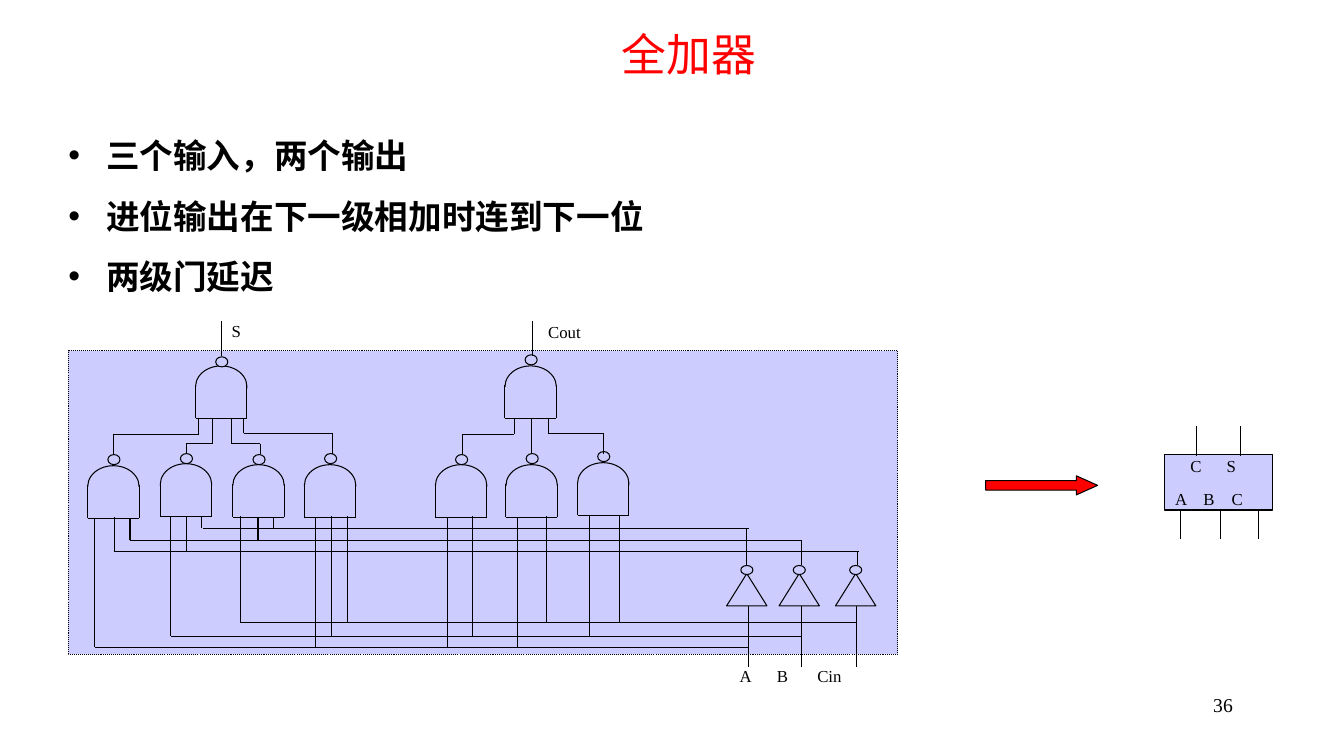
from lxml import etree
from pptx import Presentation
from pptx.dml.color import RGBColor
from pptx.enum.dml import MSO_LINE
from pptx.enum.shapes import MSO_CONNECTOR, MSO_SHAPE
from pptx.enum.text import MSO_ANCHOR, PP_ALIGN
from pptx.oxml.ns import qn
from pptx.util import Cm, Pt

RECT, OVAL = MSO_SHAPE.RECTANGLE, MSO_SHAPE.OVAL
TRIANGLE, ARROW = MSO_SHAPE.FLOWCHART_EXTRACT, MSO_SHAPE.RIGHT_ARROW
STRAIGHT, DOTTED = MSO_CONNECTOR.STRAIGHT, MSO_LINE.ROUND_DOT
LEFT, CENTER, RIGHT = PP_ALIGN.LEFT, PP_ALIGN.CENTER, PP_ALIGN.RIGHT
TOP, MIDDLE = MSO_ANCHOR.TOP, MSO_ANCHOR.MIDDLE
INCH = 2.54  # centimetres per layout unit


class Theme:
    ink = RGBColor(0x00, 0x00, 0x00)
    panel = RGBColor(0xCC, 0xCC, 0xFF)
    accent = RGBColor(0xFF, 0x00, 0x00)
    serif, sans = "Times New Roman", "Arial"
    title, body, number, label = Pt(32), Pt(24), Pt(14), Pt(12)
    stroke = Pt(0.75)


def add_box(parent, kind, x, y, w, h, fill=Theme.panel, outlined=True):
    sp = parent.shapes.add_shape(kind, *(Cm(v * INCH) for v in (x, y, w, h)))
    sp.shadow.inherit = False
    sp.fill.solid()
    sp.fill.fore_color.rgb = fill
    if outlined:
        sp.line.color.rgb = Theme.ink
        sp.line.width = Theme.stroke
    else:
        sp.line.fill.background()
    return sp


def add_wire(parent, *points):
    for start, end in zip(points, points[1:]):
        cn = parent.shapes.add_connector(
            STRAIGHT, *(Cm(v * INCH) for v in start + end))
        cn.line.color.rgb = Theme.ink
        cn.line.width = Theme.stroke
        etree.SubElement(cn._element.spPr, qn("a:effectLst"))


prs = Presentation()
prs.slide_width, prs.slide_height = Cm(33.87), Cm(19.05)
s = prs.slides.add_slide(prs.slide_layouts[6])

# Circuit panel
panel = add_box(s, RECT, 0.68, 3.48, 8.23, 3.01)
panel.line.dash_style = DOTTED

# NAND gates: left, top, rise of the bubble above the body
gates = [(1.94, 3.63, 0.09), (0.87, 4.62, 0.11), (1.59, 4.60, 0.1),
         (2.31, 4.61, 0.1), (3.02, 4.61, 0.11), (5.01, 3.63, 0.11),
         (4.32, 4.61, 0.1), (5.02, 4.61, 0.11), (5.73, 4.59, 0.11)]
for x, y, rise in gates:
    gate = s.shapes.add_group_shape()
    add_box(gate, OVAL, x, y, 0.51, 0.41)
    add_box(gate, RECT, x, y + 0.21, 0.51, 0.22, outlined=False)
    add_wire(gate, (x, y + 0.19), (x, y + 0.52), (x + 0.51, y + 0.52),
             (x + 0.51, y + 0.19))
    add_box(gate, OVAL, x + 0.2, y - rise, 0.12, 0.1)

# Buses: height, left end, right end, gate bottom, drops
buses = [(6.42, 0.94, 7.43, 5.14, (0.94, 3.13, 4.44, 5.13)),
         (6.31, 1.70, 7.95, 5.12, (1.69, 3.29, 4.69, 5.85)),
         (6.18, 2.38, 8.50, 5.12, (2.39, 3.45, 5.42, 6.15)),
         (5.47, 1.13, 8.52, 5.13, (1.14, 1.85)),
         (5.36, 1.29, 7.96, 5.14, (1.29, 2.56)),
         (5.24, 2.01, 7.43, 5.13, (2.00, 2.71))]
for y, x1, x2, gate_bottom, drops in buses:
    add_wire(s, (x1, y), (x2, y))
    for x in drops:
        add_wire(s, (x, y), (x, gate_bottom))

# Inverters: left, input x, output x, height of the bus above
inverters = [(7.21, 7.43, 7.41, 5.24), (7.73, 7.95, 7.95, 5.36),
             (8.29, 8.50, 8.51, 5.47)]
for x, x_in, x_out, y_bus in inverters:
    inverter = s.shapes.add_group_shape()
    add_box(inverter, TRIANGLE, x, 5.69, 0.4, 0.32)
    add_box(inverter, OVAL, x + 0.14, 5.61, 0.12, 0.09)
    add_wire(inverter, (x_in, 6.01), (x_in, 6.62))
    add_wire(s, (x_out, 5.61), (x_out, y_bus))

# Links between gate levels: lower x, elbow height, upper x
for x, y, x_top in [(1.13, 4.31, 1.97), (1.85, 4.4, 2.11), (2.58, 4.4, 2.3),
                    (3.30, 4.30, 2.42), (4.59, 4.31, 5.1), (5.99, 4.3, 5.44)]:
    add_wire(s, (x, 4.5), (x, y), (x_top, y), (x_top, 4.15))
add_wire(s, (5.27, 4.5), (5.27, 4.15))

# Outputs
for x in (2.2, 5.28):
    add_wire(s, (x, 3.53), (x, 3.18))

# Block symbol with its pins
symbol = s.shapes.add_group_shape()
add_box(symbol, RECT, 11.55, 4.51, 1.08, 0.55)
for x in (11.71, 12.11, 12.49):
    add_wire(symbol, (x, 5.07), (x, 5.35))
for x in (11.87, 12.31):
    add_wire(symbol, (x, 4.23), (x, 4.52))

# Arrow to the symbol
arrow = add_box(s, ARROW, 9.78, 4.72, 1.11, 0.19, fill=Theme.accent)
arrow.adjustments[0], arrow.adjustments[1] = 0.5, 1.11

# Text: frame, words, (size, font, colour), alignment, anchor, inset?, tab stops
heading = (Theme.title, Theme.sans, Theme.accent)
bullets = (Theme.body, Theme.serif, Theme.ink)
label = (Theme.label, Theme.serif, Theme.ink)
number = (Theme.number, Theme.serif, Theme.ink)
points = ["三个输入，两个输出", "进位输出在下一级相加时连到下一位", "两级门延迟"]
texts = [
    ((1.17, 0, 11.33, 1.06), ["全加器"], heading, CENTER, MIDDLE, True, ()),
    ((0.58, 1.09, 12.29, 1.87), points, bullets, LEFT, TOP, True, ()),
    ((2.2, 3.13, 0.33, 0.3), ["S"], label, LEFT, TOP, True, ()),
    ((5.34, 3.14, 0.72, 0.3), ["Cout"], label, LEFT, TOP, True, ()),
    ((7.24, 6.56, 1.72, 0.3), ["A\tB\tCin"], label, LEFT, TOP, True, (0.37, 0.77)),
    ((11.66, 4.85, 0.96, 0.2), ["A\tB\tC"], label, LEFT, TOP, False, (0.28, 0.56)),
    ((11.81, 4.52, 0.67, 0.2), ["C\tS"], label, LEFT, TOP, False, (0.36,)),
    ((9.55, 6.83, 2.78, 0.5), ["36"], number, RIGHT, TOP, True, ()),
]
for frame, lines, style, align, anchor, inset, stops in texts:
    tf = s.shapes.add_textbox(*(Cm(v * INCH) for v in frame)).text_frame
    tf.word_wrap = True
    tf.vertical_anchor = anchor
    if not inset:
        tf.margin_left = tf.margin_right = tf.margin_top = tf.margin_bottom = 0
    for i, line in enumerate(lines):
        p = tf.add_paragraph() if i else tf.paragraphs[0]
        p.alignment = align
        pPr = p._p.get_or_add_pPr()
        if style is bullets:
            p.line_spacing = 1.5
            pPr.set("marL", str(Cm(0.95)))
            pPr.set("indent", str(-Cm(0.95)))
            etree.SubElement(pPr, qn("a:buFont"), typeface=Theme.sans)
            etree.SubElement(pPr, qn("a:buChar"), char="•")
        if stops:
            tabs = etree.SubElement(pPr, qn("a:tabLst"))
            for stop in stops:
                etree.SubElement(tabs, qn("a:tab"), pos=str(Cm(stop * INCH)), algn="l")
        r = p.add_run()
        r.text = line
        r.font.size, r.font.name, r.font.color.rgb = style
        r.font.bold = style is bullets

prs.save("out.pptx")
